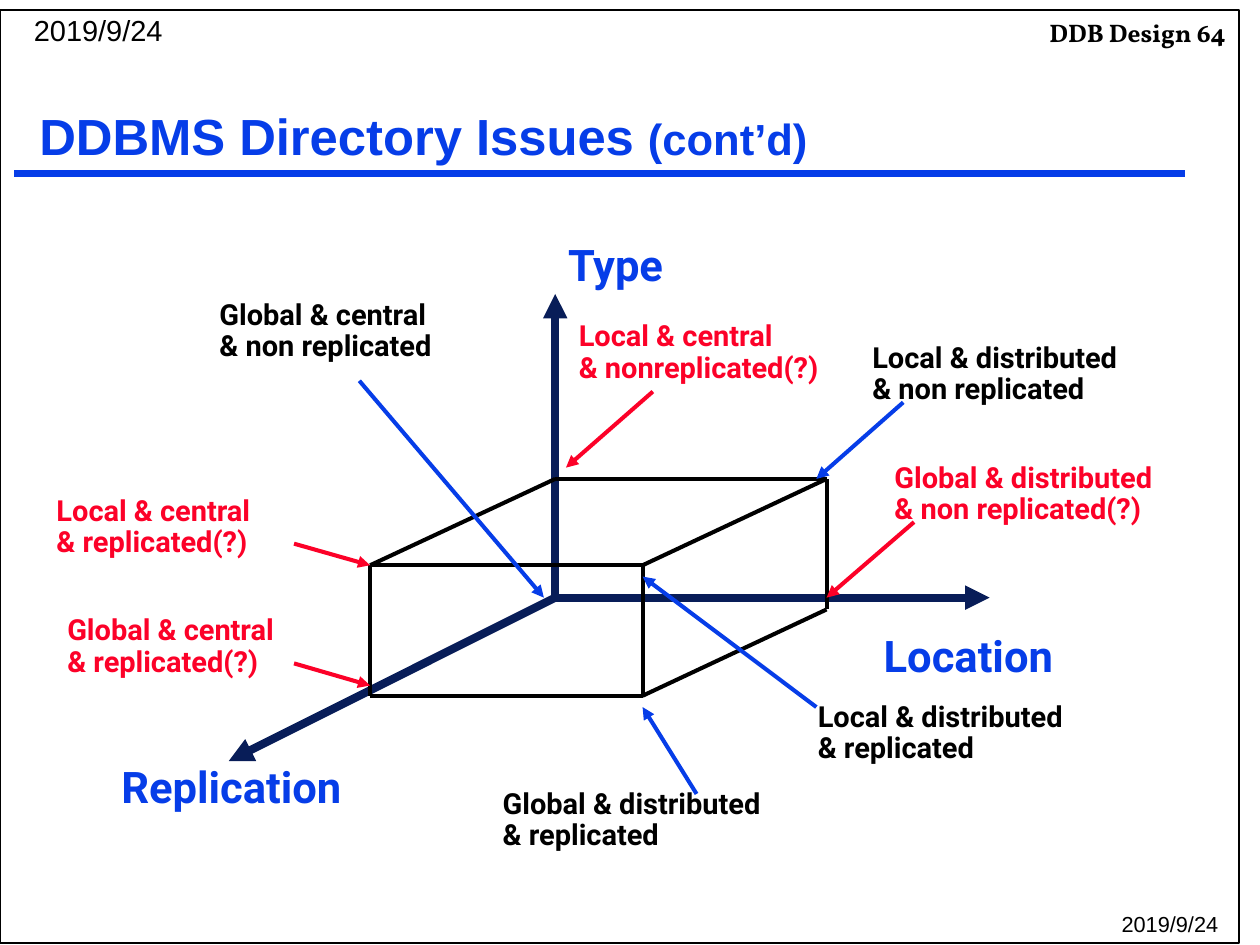
from lxml import etree
from pptx import Presentation
from pptx.dml.color import RGBColor
from pptx.enum.shapes import MSO_CONNECTOR, MSO_SHAPE
from pptx.enum.text import MSO_ANCHOR, MSO_AUTO_SIZE, PP_ALIGN
from pptx.oxml.ns import qn
from pptx.util import Cm, Pt

STRAIGHT = MSO_CONNECTOR.STRAIGHT
RECTANGLE = MSO_SHAPE.RECTANGLE
BOTTOM = MSO_ANCHOR.BOTTOM
LEFT, RIGHT = PP_ALIGN.LEFT, PP_ALIGN.RIGHT
NO_AUTOFIT = MSO_AUTO_SIZE.NONE

COLORS = {"blue": "063DE8", "navy": "081D58", "red": "FC0128", "black": "000000"}


def add_line(s, start, end, color, width, arrow=False):
    c = s.shapes.add_connector(STRAIGHT, *[Cm(v) for v in start + end])
    c.line.color.rgb = RGBColor.from_string(COLORS[color])
    c.line.width = Pt(width)
    if arrow:
        etree.SubElement(c.line._get_or_add_ln(), qn("a:tailEnd"), type="triangle")
    etree.SubElement(c._element.spPr, qn("a:effectLst"))


def add_text(s, text, box, size, font, color="black", bold=True, align=LEFT):
    tf = s.shapes.add_textbox(*[Cm(v) for v in box]).text_frame
    tf.word_wrap = True
    tf.text = text
    for p in tf.paragraphs:
        p.alignment = align
        p.line_spacing = 0.9
        f = p.runs[0].font
        f.name, f.size, f.bold = font, Pt(size), bold
        f.color.rgb = RGBColor.from_string(COLORS[color])


prs = Presentation()
prs.slide_width, prs.slide_height = Cm(24.51), Cm(18.39)
s = prs.slides.add_slide(prs.slide_layouts[5])

# Frame and title rule
frame = s.shapes.add_shape(RECTANGLE, Cm(0), Cm(0.2), Cm(24.1), Cm(18.16))
frame.shadow.inherit = False
frame.fill.background()
frame.line.color.rgb = RGBColor.from_string(COLORS["black"])
frame.line.width = Pt(1)
add_line(s, (0.28, 3.38), (23.06, 3.38), "blue", 4)

# Header and dates
add_text(s, "DDB Design 64", (19.91, 0.28, 4.19, 0.79), 14, "Vollkorn", align=RIGHT)
add_text(s, "2019/9/24", (20.19, 17.65, 3.76, 0.74), 12, "Arial", bold=False, align=RIGHT)
add_text(s, "2019/9/24", (0.41, 0.2, 5.72, 1.27), 16, "Arial", bold=False)

# Title
title = s.shapes.title
title.left, title.top, title.width, title.height = Cm(0.51), Cm(0.3), Cm(23.27), Cm(3.07)
tf = title.text_frame
tf.auto_size = NO_AUTOFIT
tf.vertical_anchor = BOTTOM
p = tf.paragraphs[0]
p.alignment = LEFT
p.line_spacing = 0.9
for text, size in (("DDBMS Directory Issues ", 28), ("(cont’d)", 24)):
    r = p.add_run()
    r.text = text
    r.font.name, r.font.size, r.font.bold = "Arial", Pt(size), True
    r.font.color.rgb = RGBColor.from_string(COLORS["blue"])

# Axes: tip, name, name box
origin = (10.8, 11.63)
axes = [
    ((19.25, 11.63), "Location", (16.94, 12.24, 4.04, 1.17)),
    ((10.8, 5.72), "Type", (10.8, 4.62, 2.49, 1.17)),
    ((4.45, 14.81), "Replication", (2.11, 14.78, 5.08, 1.17)),
]
for tip, name, box in axes:
    add_line(s, origin, tip, "navy", 4.5, arrow=True)
    add_text(s, name, box, 24, "Roboto", "blue")

# Visible edges of the design space
front_top_left, front_top_right = (7.2, 11), (12.5, 11)
front_low_left, front_low_right = (7.2, 13.54), (12.5, 13.54)
back_top_left, back_top_right = (10.8, 9.32), (16.08, 9.32)
back_low_right = (16.08, 11.86)
edges = [
    (front_low_left, front_top_left),
    (front_low_right, front_top_right),
    (front_top_left, front_top_right),
    (front_low_left, front_low_right),
    (front_top_left, back_top_left),
    (front_top_right, back_top_right),
    (front_low_right, back_low_right),
    (back_top_left, back_top_right),
    (back_low_right, back_top_right),
]
for start, end in edges:
    add_line(s, start, end, "black", 2.25)

# Corner labels: text, left and top, arrow start, arrow end, questionable
corners = [
    ("Global & distributed\n& replicated", (9.53, 15.24), (13.55, 15.45), (12.5, 13.76), False),
    ("Local & distributed\n& replicated", (15.66, 13.55), (15.88, 13.76), (12.5, 11.22), False),
    ("Global & distributed\n& non replicated(?)", (17.15, 8.89), (17.78, 10.16), (16.08, 11.63), True),
    ("Local & distributed\n& non replicated", (16.72, 6.56), (17.57, 7.83), (15.88, 9.32), False),
    ("Local & central\n& nonreplicated(?)", (11.01, 6.14), (12.7, 7.62), (11.01, 9.1), True),
    ("Global & central\n& non replicated", (4.02, 5.72), (6.99, 7.41), (10.58, 11.63), False),
    ("Local & central\n& replicated(?)", (0.85, 9.53), (5.72, 10.58), (7.2, 11), True),
    ("Global & central\n& replicated(?)", (1.06, 11.86), (5.72, 12.91), (7.2, 13.34), True),
]
for text, position, start, end, questionable in corners:
    add_text(s, text, position + (6.35, 1.63), 16, "Roboto", "red" if questionable else "black")
    add_line(s, start, end, "red" if questionable else "blue", 2.25, arrow=True)

prs.save("out.pptx")
